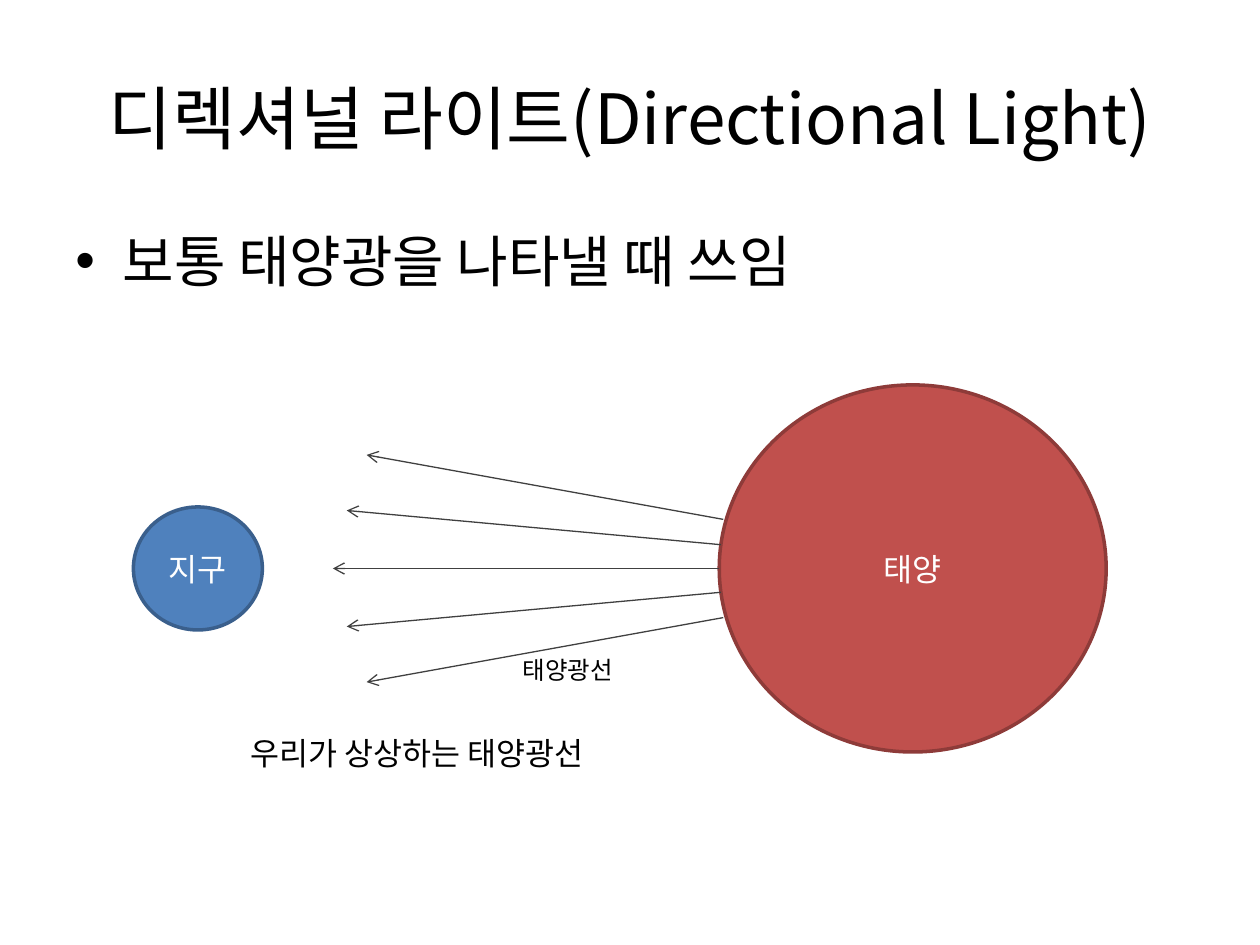
"""Build a slide showing how sunlight is commonly imagined to reach the earth."""
from dataclasses import dataclass

from lxml import etree
from pptx import Presentation
from pptx.dml.color import RGBColor
from pptx.enum.shapes import MSO_CONNECTOR, MSO_SHAPE
from pptx.enum.text import MSO_ANCHOR, PP_ALIGN
from pptx.oxml.ns import qn
from pptx.util import Cm, Pt

ELLIPSE = MSO_SHAPE.OVAL
STRAIGHT = MSO_CONNECTOR.STRAIGHT
LEFT, CENTER = PP_ALIGN.LEFT, PP_ALIGN.CENTER
TOP, MIDDLE = MSO_ANCHOR.TOP, MSO_ANCHOR.MIDDLE
BLANK_LAYOUT = 6


@dataclass(frozen=True)
class Theme:
    font: str = "Noto Sans CJK KR"
    text: str = "000000"
    inverse: str = "FFFFFF"
    sun: str = "C0504D"
    sun_edge: str = "8E3B39"
    earth: str = "4F81BD"
    earth_edge: str = "3A5F8C"
    ray: str = "404040"
    title_size: float = 39.6
    body_size: float = 32
    label_size: float = 18
    small_size: float = 14
    edge_width: float = 2
    ray_width: float = 0.75


def write_text(shape, text, *, font, size, color, align=LEFT, anchor=TOP, bullet=None):
    frame = shape.text_frame
    frame.word_wrap = True
    frame.vertical_anchor = anchor
    paragraph = frame.paragraphs[0]
    paragraph.alignment = align
    run = paragraph.add_run()
    run.text = text
    run.font.name = font
    run.font.size = Pt(size)
    run.font.color.rgb = RGBColor.from_string(color)
    etree.SubElement(run.font._element, qn("a:ea"), typeface=font)
    if bullet:
        paragraph.space_before = Pt(size * 0.2)
        properties = paragraph._p.get_or_add_pPr()
        indent = Cm(0.95)
        properties.set("marL", str(indent))
        properties.set("indent", str(-indent))
        etree.SubElement(properties, qn("a:buFont"), typeface="Arial")
        etree.SubElement(properties, qn("a:buChar"), char=bullet)


class SlideBuilder:
    def __init__(self, slide, theme):
        self.slide = slide
        self.theme = theme

    def text(self, text, left, top, width, height, size, **text_format):
        box = self.slide.shapes.add_textbox(Cm(left), Cm(top), Cm(width), Cm(height))
        write_text(box, text, font=self.theme.font, size=size,
                   color=self.theme.text, **text_format)

    def globe(self, text, center_x, center_y, width, height, fill, edge):
        shape = self.slide.shapes.add_shape(
            ELLIPSE, Cm(center_x - width / 2), Cm(center_y - height / 2),
            Cm(width), Cm(height))
        shape.shadow.inherit = False
        shape.fill.solid()
        shape.fill.fore_color.rgb = RGBColor.from_string(fill)
        shape.line.color.rgb = RGBColor.from_string(edge)
        shape.line.width = Pt(self.theme.edge_width)
        write_text(shape, text, font=self.theme.font, size=self.theme.label_size,
                   color=self.theme.inverse, align=CENTER, anchor=MIDDLE)

    def arrow(self, start_x, start_y, end_x, end_y):
        connector = self.slide.shapes.add_connector(
            STRAIGHT, Cm(start_x), Cm(start_y), Cm(end_x), Cm(end_y))
        connector.line.color.rgb = RGBColor.from_string(self.theme.ray)
        connector.line.width = Pt(self.theme.ray_width)
        etree.SubElement(connector.line._get_or_add_ln(), qn("a:tailEnd"), type="arrow")
        etree.SubElement(connector._element.spPr, qn("a:effectLst"))


def main():
    theme = Theme()
    presentation = Presentation()
    presentation.slide_width, presentation.slide_height = Cm(25.4), Cm(19.05)
    slide = presentation.slides.add_slide(presentation.slide_layouts[BLANK_LAYOUT])
    builder = SlideBuilder(slide, theme)

    builder.text("디렉셔널 라이트(Directional Light)", 1.27, 0.76, 22.86, 3.18,
                 theme.title_size, align=CENTER, anchor=MIDDLE)
    builder.text("보통 태양광을 나타낼 때 쓰임", 1.27, 4.45, 22.86, 12.57,
                 theme.body_size, bullet="•")

    axis = 11.46
    builder.globe("태양", 18.4, axis, 7.8, 7.4, theme.sun, theme.sun_edge)
    builder.globe("지구", 3.99, axis, 2.6, 2.48, theme.earth, theme.earth_edge)

    builder.arrow(14.5, axis, 6.71, axis)
    slanted_rays = [(14.58, 0.99, 7.39, 2.29), (14.53, 0.48, 6.99, 1.17)]
    for side in (-1, 1):
        for start_x, start_offset, end_x, end_offset in slanted_rays:
            builder.arrow(start_x, axis + side * start_offset,
                          end_x, axis + side * end_offset)

    builder.text("태양광선", 10.29, 13.08, 3.4, 0.86, theme.small_size)
    builder.text("우리가 상상하는 태양광선", 2.9, 14.68, 11, 1.02,
                 theme.label_size, align=CENTER)
    presentation.save("out.pptx")


if __name__ == "__main__":
    main()
